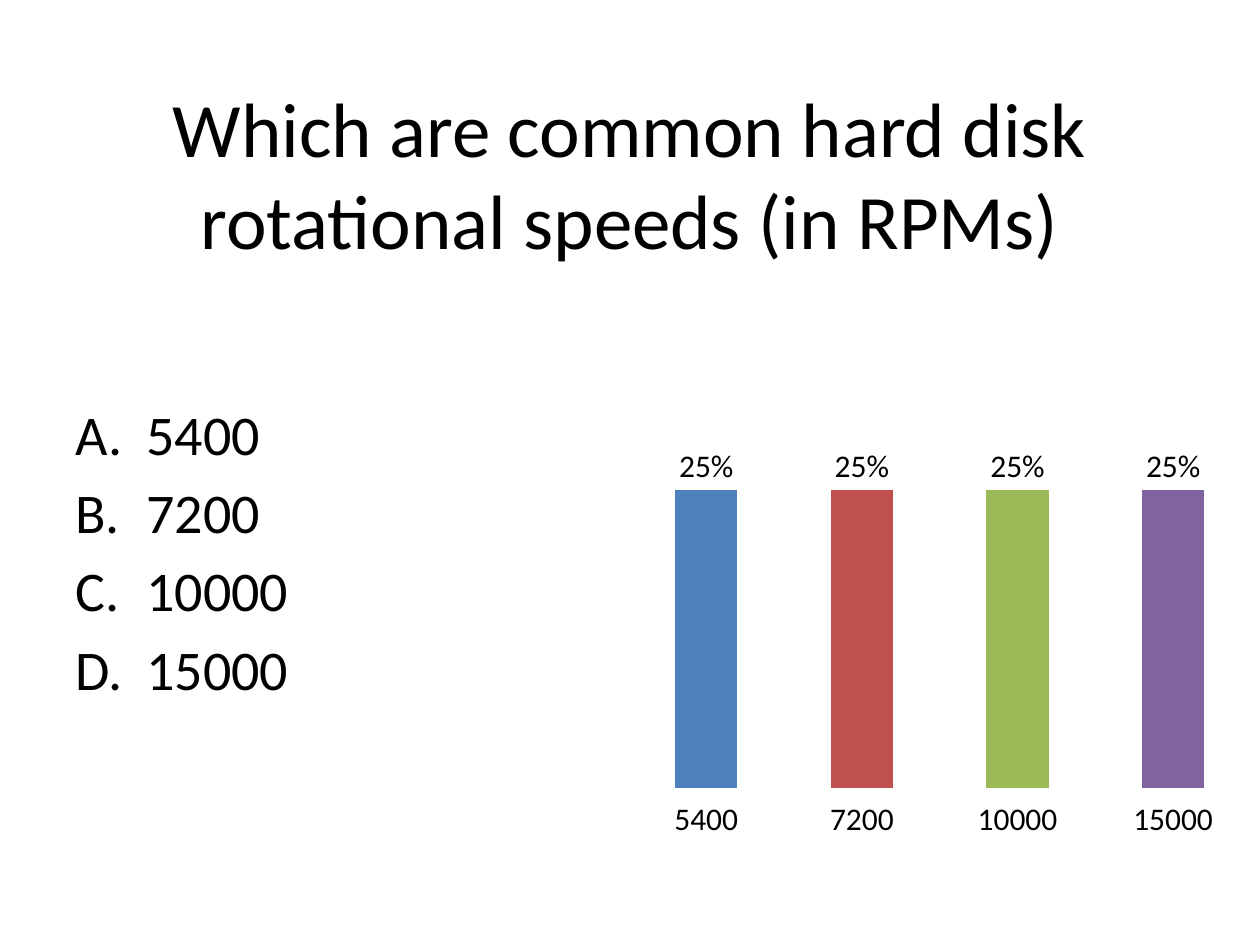
"""Build a quiz slide with lettered answers and a chart of the votes."""
import pptx
import pptx.chart.data
import pptx.dml.color
import pptx.enum.chart
import pptx.enum.text
import pptx.oxml
import pptx.oxml.ns
import pptx.util
from lxml import etree

Cm = pptx.util.Cm
Pt = pptx.util.Pt


def paint(code):
    return pptx.dml.color.RGBColor.from_string(code)


def write(par, text, size=32, font="Calibri", color="000000", align=None):
    par.alignment = align
    run = par.add_run()
    run.text = text
    run.font.size = Pt(size)
    run.font.name = font
    run.font.color.rgb = paint(color)


class Deck:
    font = "Calibri"
    ink = "000000"
    fills = ["4F81BD", "C0504D", "9BBB59", "8064A2"]

    def __init__(self):
        self.file = pptx.Presentation()
        self.file.slide_width = Cm(25.4)
        self.file.slide_height = Cm(19.05)
        self.slide = self.file.slides.add_slide(self.file.slide_layouts[5])

    def title(self, text, box):
        shape = self.slide.shapes.title
        shape.left, shape.top, shape.width, shape.height = map(Cm, box)
        frame = shape.text_frame
        frame.word_wrap = True
        frame.vertical_anchor = pptx.enum.text.MSO_ANCHOR.MIDDLE
        write(frame.paragraphs[0], text, size=44, font=self.font, color=self.ink,
              align=pptx.enum.text.PP_ALIGN.CENTER)

    def answers(self, items, box):
        frame = self.slide.shapes.add_textbox(*map(Cm, box)).text_frame
        frame.word_wrap = True
        for index, item in enumerate(items):
            par = frame.add_paragraph() if index else frame.paragraphs[0]
            par.space_before = Pt(6.4)
            write(par, item, font=self.font, color=self.ink)
            props = par._p.get_or_add_pPr()
            props.set("marL", str(Cm(1.43)))
            props.set("indent", str(-Cm(1.43)))
            mark = etree.SubElement(props, pptx.oxml.ns.qn("a:buAutoNum"))
            mark.set("type", "alphaUcPeriod")

    def chart(self, names, votes, box):
        kinds = pptx.enum.chart
        data = pptx.chart.data.CategoryChartData(number_format="0%")
        data.categories = names
        data.add_series("Series 1", votes)
        chart = self.slide.shapes.add_chart(
            kinds.XL_CHART_TYPE.COLUMN_CLUSTERED, *map(Cm, box), data).chart
        chart.has_legend = chart.has_title = False
        chart.font.size = Pt(18)
        chart.font.name = self.font
        chart.font.color.rgb = paint(self.ink)
        for axis in (chart.category_axis, chart.value_axis):
            axis.has_major_gridlines = False
            axis.major_tick_mark = kinds.XL_TICK_MARK.OUTSIDE
            axis.format.line.fill.background()
        axis = chart.value_axis
        axis.minimum_scale, axis.maximum_scale = 0, 0.3
        axis.tick_label_position = kinds.XL_TICK_LABEL_POSITION.NONE
        axis.tick_labels.number_format = "0%"
        axis.tick_labels.number_format_is_linked = False
        plot = chart.plots[0]
        plot.gap_width = 150
        plot.vary_by_categories = False
        plot.has_data_labels = True
        labels = plot.data_labels
        labels.show_value = True
        labels.number_format = "0%"
        labels.number_format_is_linked = False
        labels.position = kinds.XL_LABEL_POSITION.OUTSIDE_END
        for index, code in enumerate(self.fills):
            fill = plot.series[0].points[index].format.fill
            fill.solid()
            fill.fore_color.rgb = paint(code)
        self.place(chart, x=0.01, y=0.07, w=0.99, h=0.76)

    def place(self, chart, **spots):
        qn = pptx.oxml.ns.qn
        area = chart._chartSpace.find(".//" + qn("c:plotArea"))
        for old in area.findall(qn("c:layout")):
            area.remove(old)
        layout = etree.Element(qn("c:layout"))
        manual = etree.SubElement(layout, qn("c:manualLayout"))
        rules = {"layoutTarget": "outer", "xMode": "edge", "yMode": "edge", **spots}
        for name, value in rules.items():
            etree.SubElement(manual, qn("c:" + name)).set("val", str(value))
        area.insert(0, layout)


def main():
    speeds = ["5400", "7200", "10000", "15000"]
    deck = Deck()
    deck.chart(speeds, [0.25] * len(speeds), (12.52, 7.92, 12.7, 10.82))
    deck.title("Which are common hard disk rotational speeds (in RPMs)",
               (1.27, 0.76, 22.86, 5.44))
    deck.answers(speeds, (1.27, 7.92, 11.43, 9.09))
    deck.file.save("out.pptx")


if __name__ == "__main__":
    main()
